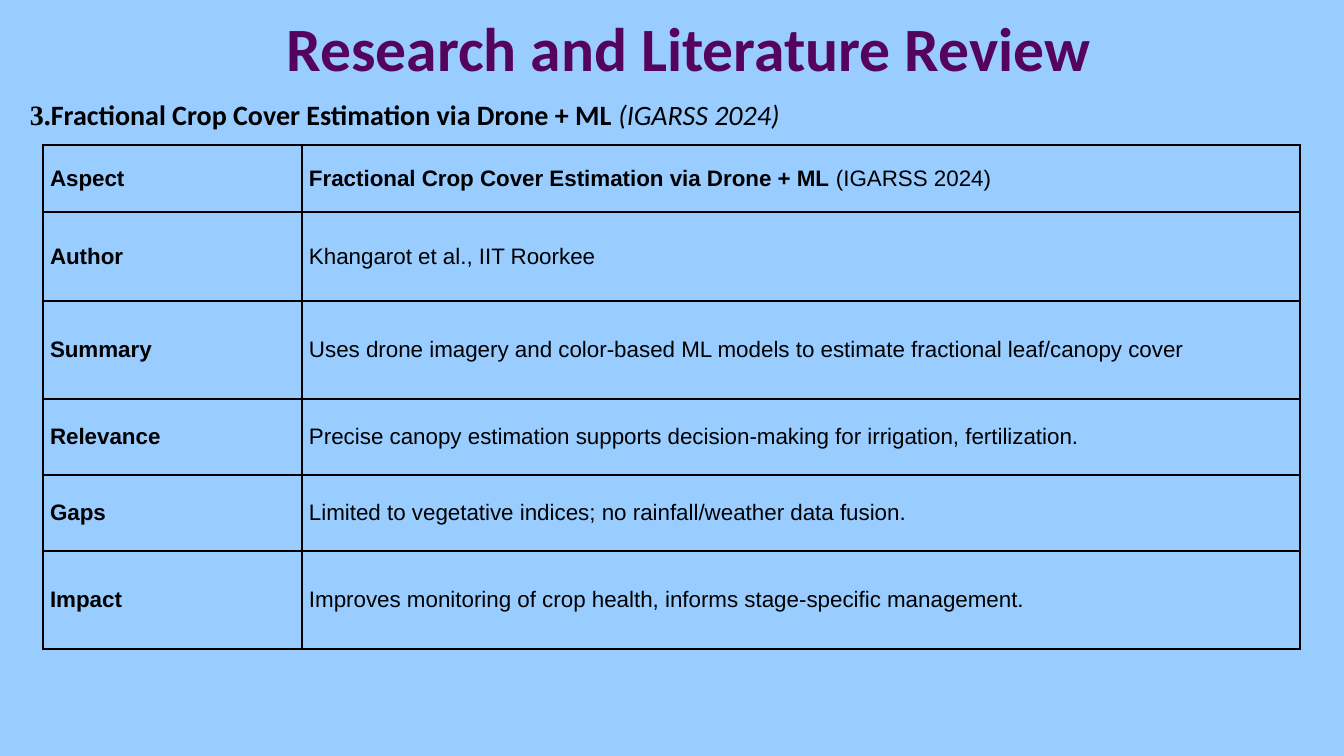
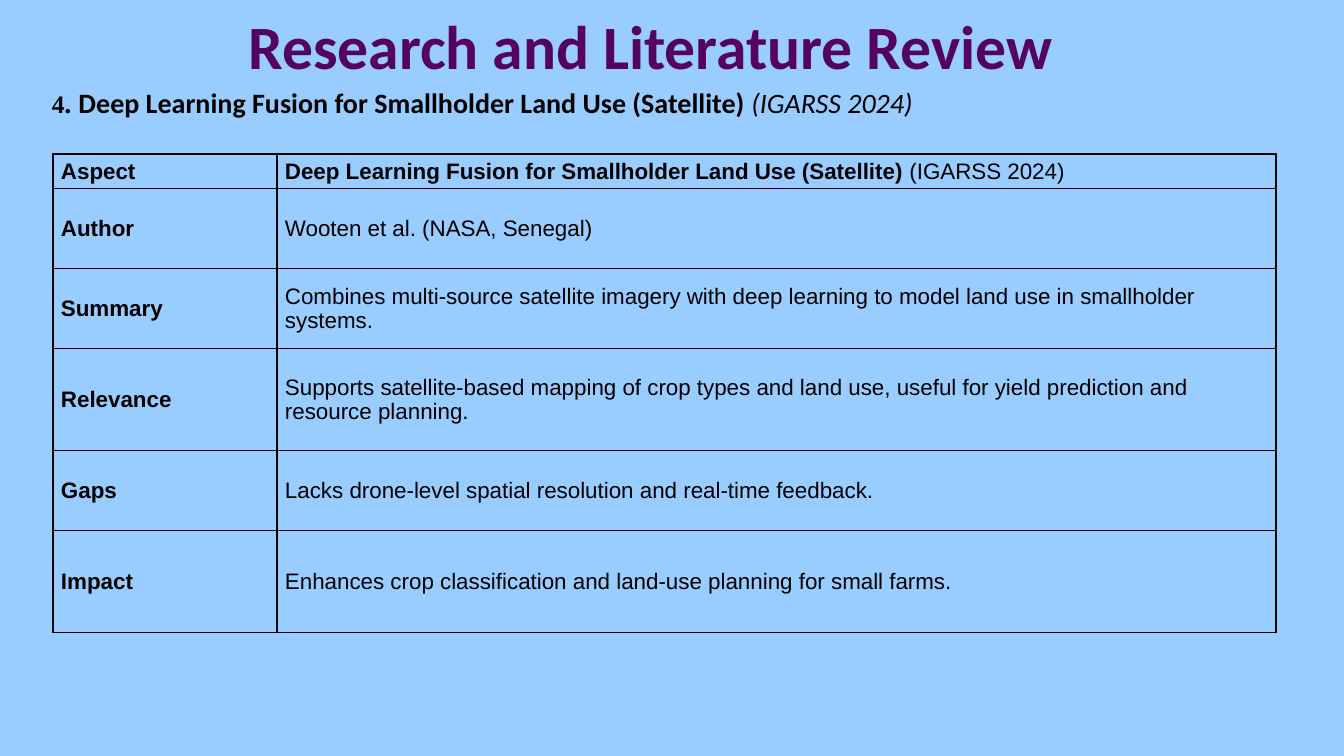
from lxml import etree
from pptx import Presentation, util as u
from pptx.dml.color import RGBColor
from pptx.enum import text
from pptx.oxml.ns import qn

SCALE = 12192000 / 1344
COLORS = {"back": "99CCFF", "title": "54045C", "ink": "000000"}
TITLE = "Research and Literature Review "
LABELS = ["Aspect", "Author", "Summary", "Relevance", "Gaps", "Impact"]
VENUE = "(IGARSS 2024)"


def px(n):
    return u.Emu(round(n * SCALE))


def style(run, size, face, color="ink", bold=False, slant=False):
    font = run.font
    font.size, font.name = u.Pt(size), face
    font.bold, font.italic = bold, slant
    font.color.rgb = RGBColor.from_string(COLORS[color])


def write(para, parts):
    for words, *look in parts:
        run = para.add_run()
        run.text = words
        style(run, *look)


def label(slide, box, parts, align=text.PP_ALIGN.LEFT, anchor=text.MSO_ANCHOR.TOP):
    frame = slide.shapes.add_textbox(*map(px, box)).text_frame
    frame.word_wrap = True
    frame.vertical_anchor = anchor
    para = frame.paragraphs[0]
    para.alignment = align
    write(para, parts)


def border(cell):
    props = cell._tc.get_or_add_tcPr()
    for side in "LRTB":
        line = etree.SubElement(props, qn(f"a:ln{side}"), w=str(u.Pt(1)))
        fill = etree.SubElement(line, qn("a:solidFill"))
        etree.SubElement(fill, qn("a:srgbClr"), val=COLORS["ink"])


def fill_cell(cell, parts, inset):
    border(cell)
    cell.fill.background()
    cell.vertical_anchor = text.MSO_ANCHOR.MIDDLE
    cell.margin_left = cell.margin_right = px(inset)
    cell.margin_top = cell.margin_bottom = px(4)
    write(cell.text_frame.paragraphs[0], parts)


def grid(slide, left, top, cols, rows, inset, topic, facts):
    shape = slide.shapes.add_table(
        len(rows), len(cols), px(left), px(top), px(sum(cols)), px(sum(rows)))
    table = shape.table
    table.first_row = table.horz_banding = False
    for col, width in zip(table.columns, cols):
        col.width = px(width)
    for row, height in zip(table.rows, rows):
        row.height = px(height)
    head = [(topic, 16, "Arial", "ink", True), (" " + VENUE, 16, "Arial")]
    values = [head] + [[(fact, 16, "Arial")] for fact in facts]
    for i, (name, value) in enumerate(zip(LABELS, values)):
        fill_cell(table.cell(i, 0), [(name, 16, "Arial", "ink", True)], inset)
        fill_cell(table.cell(i, 1), value, inset)


def review(deck, title, lead, number, topic, table, facts):
    slide = deck.slides.add_slide(deck.slide_layouts[6])
    fill = slide.background.fill
    fill.solid()
    fill.fore_color.rgb = RGBColor.from_string(COLORS["back"])
    label(slide, (*title, 1210, 90), [(TITLE, 44, "Calibri", "title", True)],
          text.PP_ALIGN.CENTER, text.MSO_ANCHOR.MIDDLE)
    parts = [(mark, size, "Times New Roman", "ink", True) for mark, size in number]
    parts += [(topic + " ", 20, "Calibri", "ink", True),
              (VENUE, 20, "Calibri", "ink", False, True)]
    label(slide, (*lead, 1210, 45), parts)
    grid(slide, *table, topic, facts)


def main():
    deck = Presentation()
    deck.slide_width, deck.slide_height = px(1344), px(756)
    review(deck, (91, 2), (20, 93), [("3.", 20)],
           "Fractional Crop Cover Estimation via Drone + ML",
           (43, 145, (259, 998), (67, 89, 98, 76, 76, 98), 7),
           ["Khangarot et al., IIT Roorkee",
            "Uses drone imagery and color-based ML models to estimate fractional leaf/canopy cover",
            "Precise canopy estimation supports decision-making for irrigation, fertilization.",
            "Limited to vegetative indices; no rainfall/weather data fusion.",
            "Improves monitoring of crop health, informs stage-specific management."])
    review(deck, (53, 0), (42, 81), [("4", 18), (". ", 20)],
           "Deep Learning Fusion for Smallholder Land Use (Satellite)",
           (53, 154, (224, 999), (33, 80, 80, 102, 80, 102), 8),
           ["Wooten et al. (NASA, Senegal)",
            "Combines multi-source satellite imagery with deep learning to model land use in smallholder systems.",
            "Supports satellite-based mapping of crop types and land use, useful for yield prediction and resource planning.",
            "Lacks drone-level spatial resolution and real-time feedback.",
            "Enhances crop classification and land-use planning for small farms."])
    deck.save("out.pptx")


if __name__ == "__main__":
    main()
